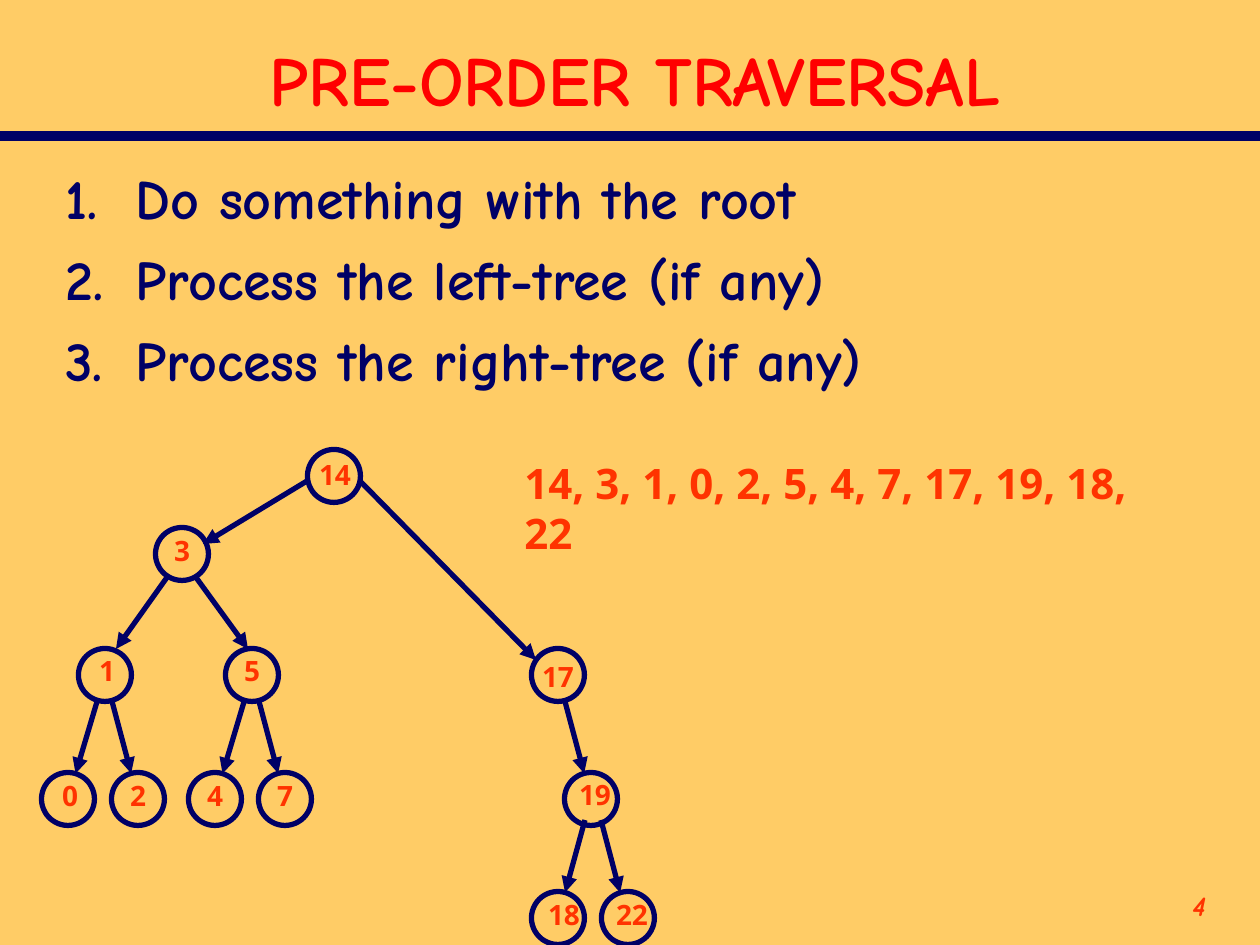
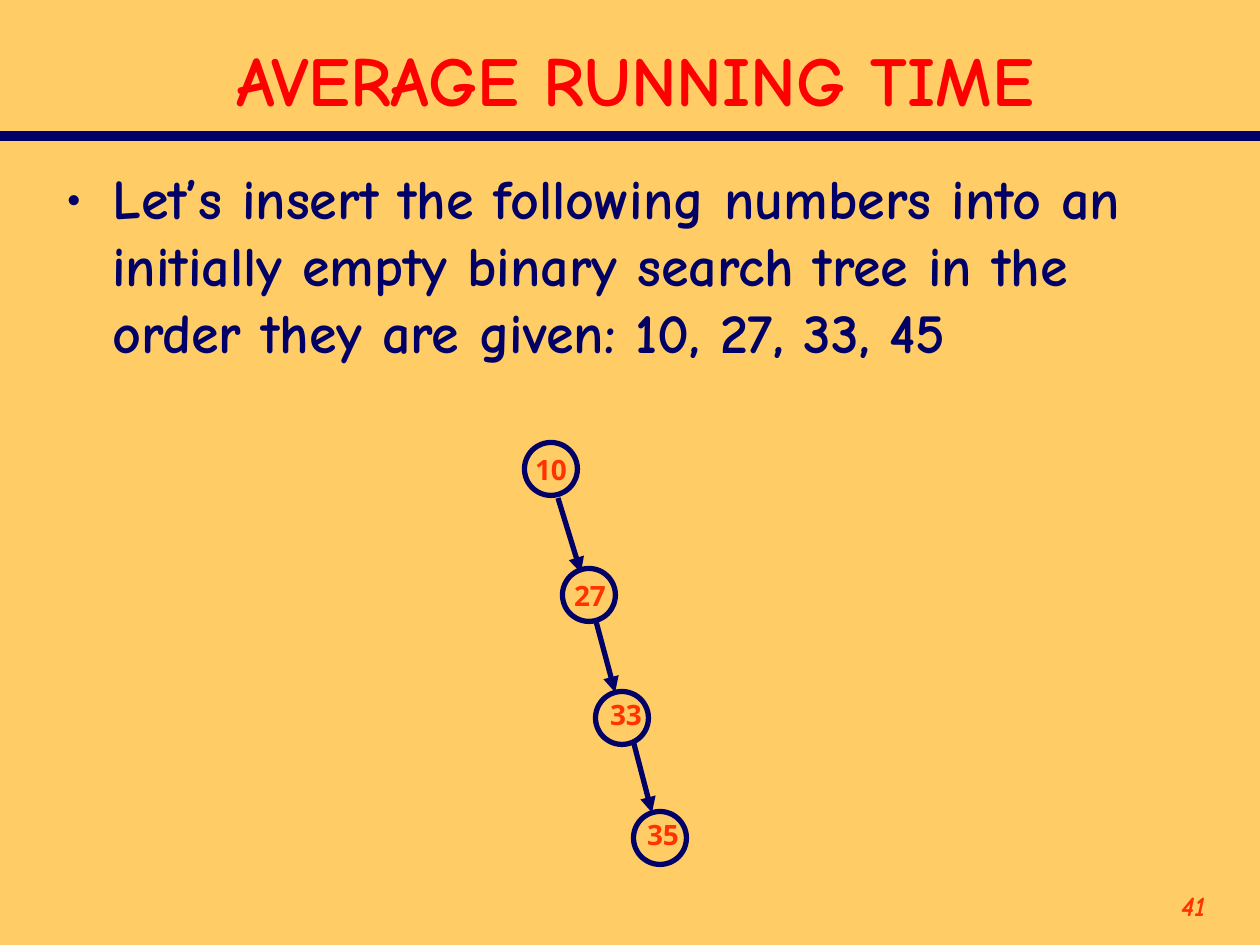
from math import hypot

from lxml import etree
from pptx import Presentation
from pptx import util as u
from pptx.dml.color import RGBColor
from pptx.enum import shapes, text
from pptx.oxml import ns

SAND, NAVY, RED, ORANGE = "FFCC66", "000066", "FF0000", "FF3300"
HAND, SANS = "Comic Neue", "Open Sans"
PX = 914400 / 126
RADIUS = 26.5
LABEL_W, LABEL_H = 80, 46
TITLE_ONLY = 5

# Nodes: key -> centre x, centre y, label shift x, label shift y
# Edges: parent, child, and for some the shift of the start from the parent's
# centre, then the shift of the end from the child's centre
SLIDES = [
    {
        "title": "PRE-ORDER TRAVERSAL",
        "number": "4",
        "steps": ["Do something with the root",
                  "Process the left-tree (if any)",
                  "Process the right-tree (if any)"],
        "numbered": True,
        "indent": 70,
        "body_height": 271,
        "nodes": {
            "14": (334, 476, 1, -2), "3": (182, 554, 0, -4),
            "1": (105, 675, 2, -5), "5": (252, 675, 0, -5),
            "0": (68, 799, 2, -4), "2": (138, 799, 0, -4),
            "4": (215, 799, 0, -4), "7": (285, 799, 0, -4),
            "17": (558, 675, 0, 1), "19": (591, 799, 4, -5),
            "18": (558, 918, 6, -4), "22": (628, 918, 4, -4),
        },
        "edges": [("14", "3", (-27, 5), (21, -10)),
                  ("14", "17", (26, 5), (-22, -15)),
                  ("3", "1", (-14, 22), (11, -26)),
                  ("3", "5", (13, 22), (-4, -26)),
                  ("1", "0"), ("1", "2"), ("5", "4"), ("5", "7"), ("17", "19"),
                  ("19", "18", (-6, 21)), ("19", "22", (10, 21))],
        "visit_order": "14, 3, 1, 0, 2, 5, 4, 7, 17, 19, 18, 22",
    },
    {
        "title": "AVERAGE RUNNING TIME",
        "number": "41",
        "steps": ["Let’s insert the following numbers into an initially empty "
                  "binary search tree in the order they are given: 10, 27, 33, 45"],
        "numbered": False,
        "indent": 47,
        "body_height": 746,
        "nodes": {
            "10": (551, 469, 0, 0), "27": (589, 595, 1, 0),
            "33": (622, 718, 4, -4), "35": (660, 838, 3, -4),
        },
        "edges": [("10", "27", (7, 29), (-8, -22)), ("27", "33"),
                  ("33", "35", (11, 22))],
    },
]


def px(length):
    return u.Emu(round(length * PX))


def color(value):
    return RGBColor.from_string(value)


def add_span(para, words, font, size, ink, italic=False):
    span = para.add_run()
    span.text = words
    span.font.name, span.font.size = font, u.Pt(size)
    span.font.bold, span.font.italic = True, italic
    span.font.color.rgb = color(ink)


def add_box(parent, left, top, width, height, wrap=True):
    box = parent.shapes.add_textbox(px(left), px(top), px(width), px(height))
    box.text_frame.word_wrap = wrap
    return box.text_frame


def add_line(parent, start, end, weight, arrow=False):
    line = parent.shapes.add_connector(
        shapes.MSO_CONNECTOR.STRAIGHT, *map(px, (*start, *end)))
    line.line.color.rgb = color(NAVY)
    line.line.width = u.Pt(weight)
    if arrow:
        outline = line.line._get_or_add_ln()
        etree.SubElement(outline, ns.qn("a:tailEnd"), type="triangle")
    etree.SubElement(line.element.spPr, ns.qn("a:effectLst"))
    return line


def set_bullet(para, indent, numbered):
    props = para._p.get_or_add_pPr()
    props.set("marL", str(px(indent)))
    props.set("indent", str(-px(indent)))
    ink = etree.SubElement(props, ns.qn("a:buClr"))
    etree.SubElement(ink, ns.qn("a:srgbClr"), val=NAVY)
    etree.SubElement(props, ns.qn("a:buFont"), typeface=HAND)
    if numbered:
        etree.SubElement(props, ns.qn("a:buAutoNum"), type="arabicPeriod")
    else:
        etree.SubElement(props, ns.qn("a:buChar"), char="•")


def add_title(page, words):
    title = page.shapes.title
    title.left, title.top, title.width, title.height = map(px, (52, 31, 1166, 94))
    frame = title.text_frame
    frame.auto_size = text.MSO_AUTO_SIZE.NONE
    frame.vertical_anchor = text.MSO_ANCHOR.MIDDLE
    para = frame.paragraphs[0]
    para.alignment = text.PP_ALIGN.CENTER
    add_span(para, words, HAND, 40, RED)


def add_body(page, content):
    frame = add_box(page, 53, 157, 1166, content["body_height"])
    for index, step in enumerate(content["steps"]):
        para = frame.add_paragraph() if index else frame.paragraphs[0]
        set_bullet(para, content["indent"], content["numbered"])
        if index:
            para.space_before = u.Pt(8)
        add_span(para, step, HAND, 32, NAVY)


def add_tree(page, nodes, edges):
    tree = page.shapes.add_group_shape()
    for parent, child, *shifts in edges:
        (x1, y1), (x2, y2) = nodes[parent][:2], nodes[child][:2]
        ratio = RADIUS / hypot(x2 - x1, y2 - y1)
        dx, dy = (x2 - x1) * ratio, (y2 - y1) * ratio
        out_x, out_y = shifts[0] if shifts else (dx, dy)
        in_x, in_y = shifts[1] if len(shifts) > 1 else (-dx, -dy)
        add_line(tree, (x1 + out_x, y1 + out_y), (x2 + in_x, y2 + in_y), 3, arrow=True)
    for key, (x, y, shift_x, shift_y) in nodes.items():
        circle = tree.shapes.add_shape(
            shapes.MSO_SHAPE.OVAL, px(x - RADIUS), px(y - RADIUS),
            px(2 * RADIUS), px(2 * RADIUS))
        circle.shadow.inherit = False
        circle.fill.background()
        circle.line.color.rgb = color(NAVY)
        circle.line.width = u.Pt(3)
        label = add_box(tree, x + shift_x - LABEL_W / 2, y + shift_y - LABEL_H / 2,
                        LABEL_W, LABEL_H, wrap=False)
        label.paragraphs[0].alignment = text.PP_ALIGN.CENTER
        add_span(label.paragraphs[0], key, SANS, 16, ORANGE)


def style_master(deck, page):
    """Give every slide the sand background and the navy rule under the title."""
    master = deck.slide_master
    master.background.fill.solid()
    master.background.fill.fore_color.rgb = color(SAND)
    rule = add_line(page, (0, 136), (1260, 136), 6)
    master.shapes.element.append(rule.element)


def main():
    deck = Presentation()
    deck.slide_width, deck.slide_height = px(1260), px(945)
    for content in SLIDES:
        page = deck.slides.add_slide(deck.slide_layouts[TITLE_ONLY])
        if len(deck.slides) == 1:
            style_master(deck, page)
        add_title(page, content["title"])
        add_body(page, content)
        add_tree(page, content["nodes"], content["edges"])
        if "visit_order" in content:
            order = add_box(page, 512, 451, 685, 63)
            add_span(order.paragraphs[0], content["visit_order"], SANS, 24, ORANGE)
        number = add_box(page, 1092, 882, 126, 63).paragraphs[0]
        number.alignment = text.PP_ALIGN.RIGHT
        add_span(number, content["number"], HAND, 16, ORANGE, italic=True)
    deck.save("out.pptx")


if __name__ == "__main__":
    main()
